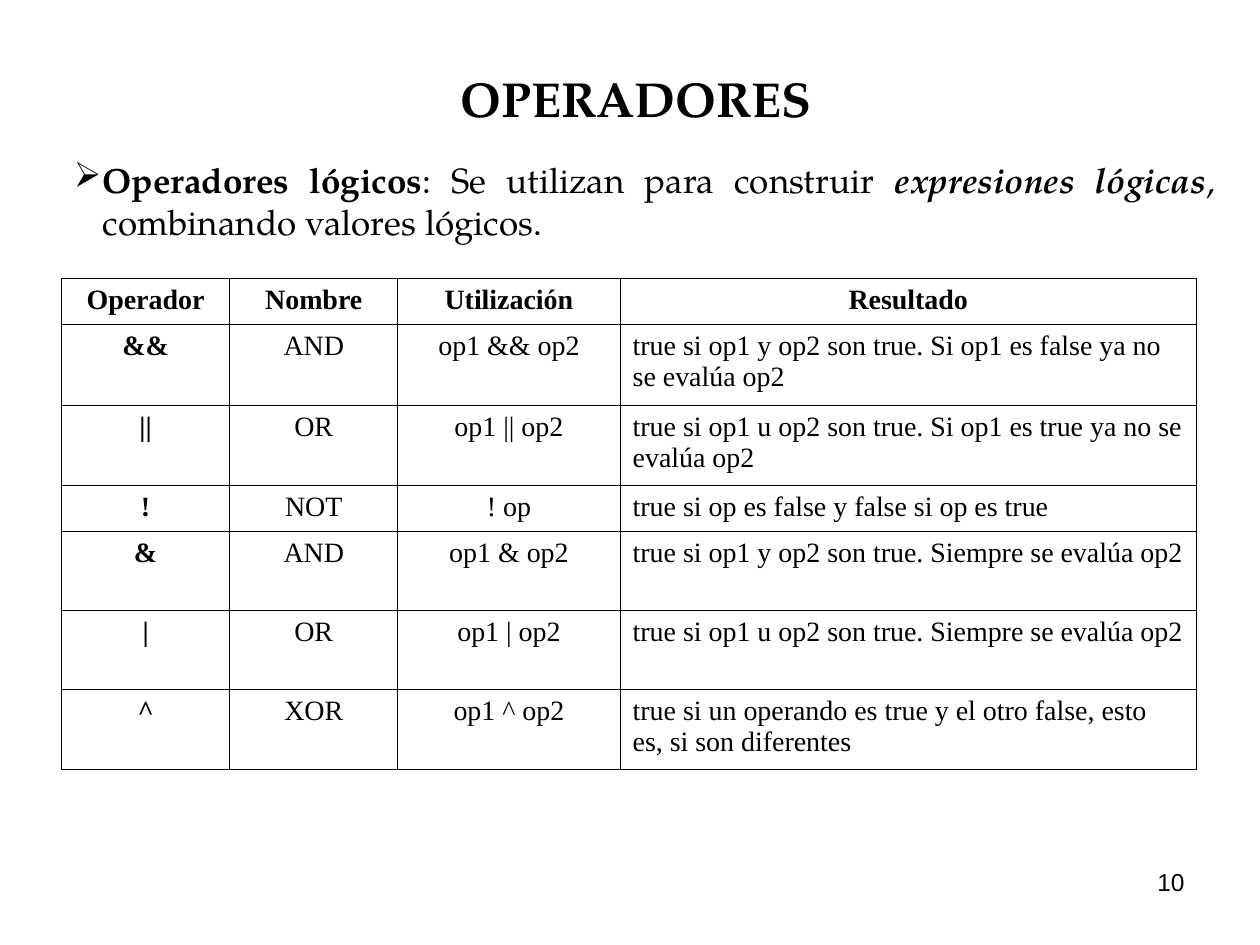
from dataclasses import dataclass

from lxml import etree
from pptx import Presentation
from pptx.dml.color import RGBColor
from pptx.enum.text import MSO_ANCHOR, MSO_AUTO_SIZE, PP_ALIGN
from pptx.oxml.ns import qn
from pptx.util import Cm, Pt

LEFT, CENTER = PP_ALIGN.LEFT, PP_ALIGN.CENTER
RIGHT, JUSTIFY = PP_ALIGN.RIGHT, PP_ALIGN.JUSTIFY
MIDDLE, TOP = MSO_ANCHOR.MIDDLE, MSO_ANCHOR.TOP
NO_AUTOFIT = MSO_AUTO_SIZE.NONE
TITLE_ONLY = 5


@dataclass(frozen=True)
class Theme:
    ink: str = "000000"
    paper: str = "FFFFFF"
    display: str = "TeX Gyre Pagella"
    table: str = "Times New Roman"
    number: str = "Arial"
    title_pt: float = 28
    body_pt: float = 20
    cell_pt: float = 16
    number_pt: float = 14
    border_pt: float = 0.45


@dataclass(frozen=True)
class Run:
    text: str
    bold: bool = False
    italic: bool = False


@dataclass(frozen=True)
class Operator:
    symbol: str
    name: str
    usage: str
    result: str
    height: float


THEME = Theme()
HEADER = Operator("Operador", "Nombre", "Utilización", "Resultado", 0.93)
OPERATORS = [
    Operator("&&", "AND", "op1 && op2",
             "true si op1 y op2 son true. Si op1 es false ya no se evalúa op2", 1.62),
    Operator("||", "OR", "op1 || op2",
             "true si op1 u op2 son true. Si op1 es true ya no se evalúa op2", 1.62),
    Operator("!", "NOT", "! op", "true si op es false y false si op es true", 0.93),
    Operator("&", "AND", "op1 & op2",
             "true si op1 y op2 son true. Siempre se evalúa op2", 1.59),
    Operator("|", "OR", "op1 | op2",
             "true si op1 u op2 son true. Siempre se evalúa op2", 1.59),
    Operator("^", "XOR", "op1 ^ op2",
             "true si un operando es true y el otro false, esto es, si son diferentes", 1.62),
]
COLUMN_WIDTHS = [3.39, 3.39, 4.48, 11.62]
INTRO = [
    Run("Operadores lógicos", bold=True),
    Run(": Se utilizan para construir "),
    Run("expresiones lógicas", bold=True, italic=True),
    Run(", combinando valores lógicos."),
]


def write(p, runs: list[Run], font: str, size: float, align) -> None:
    p.alignment = align
    for run in runs:
        r = p.add_run()
        r.text = run.text
        r.font.name = font
        r.font.size = Pt(size)
        r.font.bold = run.bold
        r.font.italic = run.italic
        r.font.color.rgb = RGBColor.from_string(THEME.ink)


def add_text(slide, box: tuple, runs: list[Run], font: str, size: float, align):
    s = slide.shapes.add_textbox(*map(Cm, box))
    s.text_frame.word_wrap = True
    p = s.text_frame.paragraphs[0]
    write(p, runs, font, size, align)
    return p


def add_bullet(p, char: str, indent: float) -> None:
    pPr = p._p.get_or_add_pPr()
    pPr.set("marL", str(Cm(indent)))
    pPr.set("indent", str(-Cm(indent)))
    color = etree.SubElement(pPr, qn("a:buClr"))
    etree.SubElement(color, qn("a:srgbClr"), val=THEME.ink)
    etree.SubElement(pPr, qn("a:buChar"), char=char)


def set_borders(cell) -> None:
    tcPr = cell._tc.get_or_add_tcPr()
    for i, side in enumerate(("lnL", "lnR", "lnT", "lnB")):
        ln = etree.Element(qn(f"a:{side}"), w=str(Pt(THEME.border_pt)))
        fill = etree.SubElement(ln, qn("a:solidFill"))
        etree.SubElement(fill, qn("a:srgbClr"), val=THEME.ink)
        tcPr.insert(i, ln)


def add_operator_table(slide, left: float, top: float) -> None:
    rows = [HEADER, *OPERATORS]
    size = sum(COLUMN_WIDTHS), sum(row.height for row in rows)
    table = slide.shapes.add_table(
        len(rows), len(COLUMN_WIDTHS), Cm(left), Cm(top), *map(Cm, size)).table
    table.first_row = table.horz_banding = False
    for column, width in zip(table.columns, COLUMN_WIDTHS):
        column.width = Cm(width)
    for i, row in enumerate(rows):
        table.rows[i].height = Cm(row.height)
        for j, text in enumerate((row.symbol, row.name, row.usage, row.result)):
            cell = table.cell(i, j)
            cell.fill.background()
            cell.vertical_anchor = TOP
            set_borders(cell)
            align = LEFT if i > 0 and j == 3 else CENTER
            write(cell.text_frame.paragraphs[0], [Run(text, bold=i == 0 or j == 0)],
                  THEME.table, THEME.cell_pt, align)


def add_title(slide, text: str) -> None:
    s = slide.shapes.title
    s.left, s.top, s.width, s.height = map(Cm, (2.03, 1.14, 21.59, 1.68))
    tf = s.text_frame
    tf.auto_size = NO_AUTOFIT
    tf.vertical_anchor = MIDDLE
    write(tf.paragraphs[0], [Run(text, bold=True)], THEME.display, THEME.title_pt, CENTER)


def main() -> None:
    prs = Presentation()
    prs.slide_width, prs.slide_height = Cm(25.4), Cm(19.05)
    slide = prs.slides.add_slide(prs.slide_layouts[TITLE_ONLY])
    slide.background.fill.solid()
    slide.background.fill.fore_color.rgb = RGBColor.from_string(THEME.paper)
    add_title(slide, "OPERADORES")
    p = add_text(slide, (1.24, 3.07, 23.5, 1.96), INTRO,
                 THEME.display, THEME.body_pt, JUSTIFY)
    add_bullet(p, "➢", 0.58)
    add_operator_table(slide, 1.24, 5.61)
    add_text(slide, (18.21, 17.35, 5.92, 1.32), [Run("10")],
             THEME.number, THEME.number_pt, RIGHT)
    prs.save("out.pptx")


if __name__ == "__main__":
    main()
